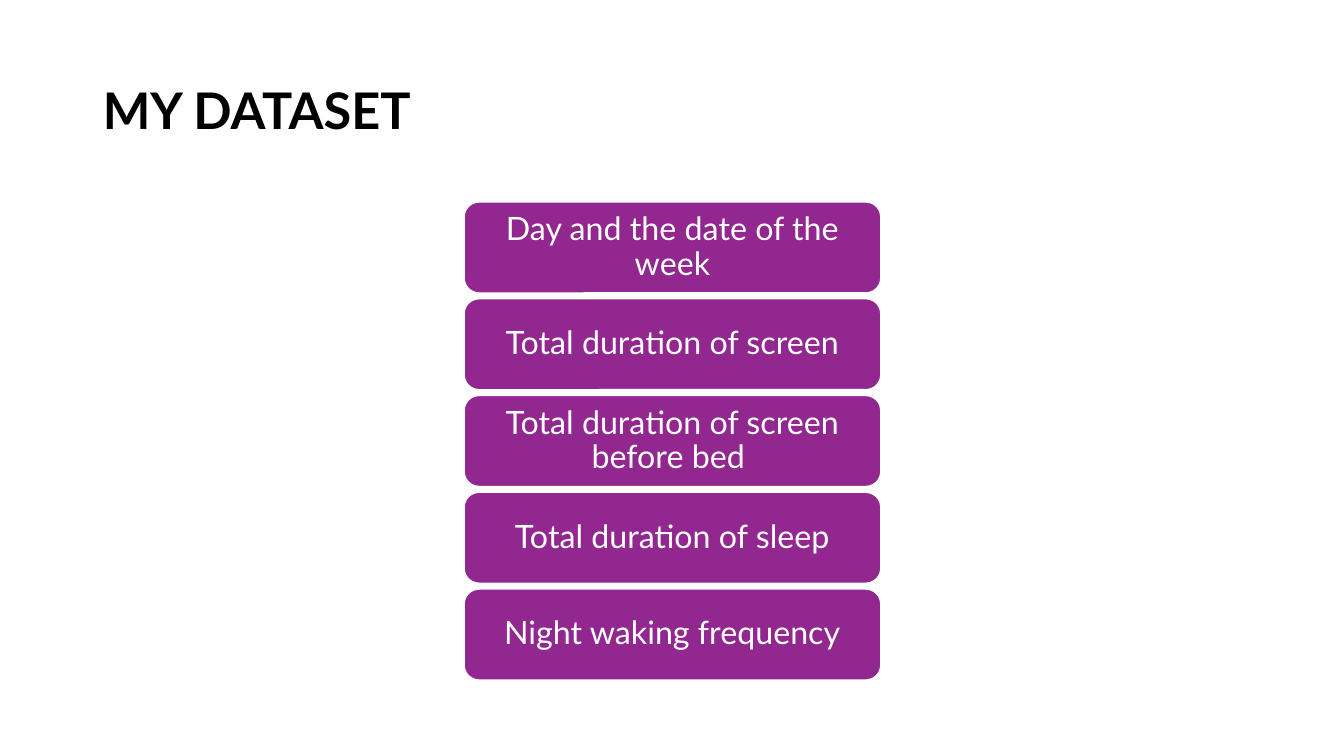
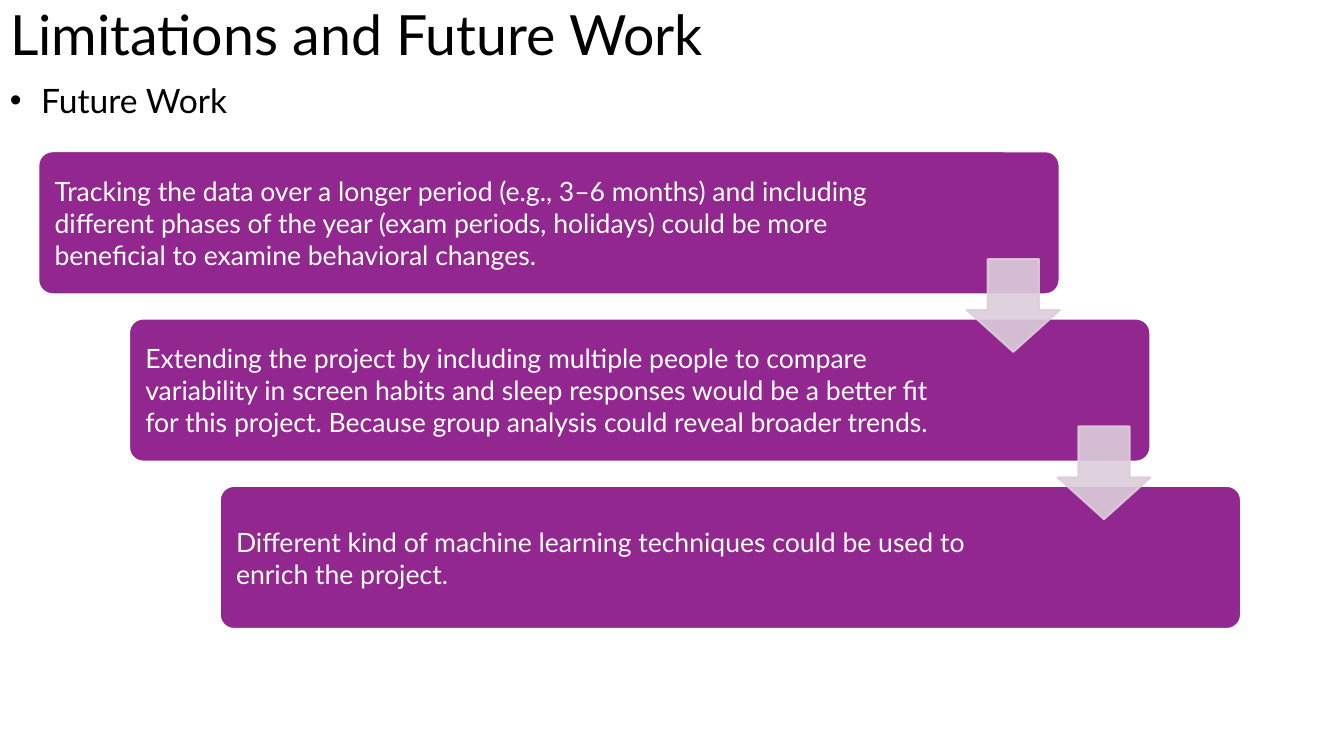
import pptx
import pptx.util
import pptx.dml.color
import pptx.enum.shapes
import pptx.enum.text
import pptx.oxml.ns
import lxml.etree

PX = 9144  # EMU per px, 100 px to the inch
PURPLE, PALE, WHITE, BLACK = "92278F", "DCCDDB", "FFFFFF", "000000"
ALIGN = pptx.enum.text.PP_ALIGN
MIDDLE = pptx.enum.text.MSO_ANCHOR.MIDDLE
TOP = pptx.enum.text.MSO_ANCHOR.TOP
SHAPE = pptx.enum.shapes.MSO_SHAPE


def write(shape, text, size, color, margins=(10, 5, 10, 5), bold=False,
          anchor=MIDDLE, **paragraph_format):
    """Put one formatted paragraph into a shape and return the paragraph."""
    frame = shape.text_frame
    frame.text = text
    frame_format = {"word_wrap": True, "vertical_anchor": anchor,
                    "auto_size": pptx.enum.text.MSO_AUTO_SIZE.NONE}
    for side, margin in zip(("left", "top", "right", "bottom"), margins):
        frame_format["margin_" + side] = margin * PX
    for name, value in frame_format.items():
        setattr(frame, name, value)
    paragraph = frame.paragraphs[0]
    for name, value in paragraph_format.items():
        setattr(paragraph, name, value)
    font = paragraph.runs[0].font
    for name, value in {"name": "Lato", "size": pptx.util.Pt(size), "bold": bold}.items():
        setattr(font, name, value)
    font.color.rgb = pptx.dml.color.RGBColor.from_string(color)
    return paragraph


def add_block(slide, kind, box, fill, line, adjustments=(), opacity=100):
    """Add a preset shape with flat fill and outline."""
    shape = slide.shapes.add_shape(kind, *[length * PX for length in box])
    shape.shadow.inherit = False
    for index, value in enumerate(adjustments):
        shape.adjustments[index] = value
    shape.fill.solid()
    shape.fill.fore_color.rgb = pptx.dml.color.RGBColor.from_string(fill)
    shape.line.color.rgb = pptx.dml.color.RGBColor.from_string(line)
    shape.line.width = pptx.util.Pt(1.5)
    if opacity < 100:
        for color in shape.element.spPr.iter(pptx.oxml.ns.qn("a:srgbClr")):
            alpha = lxml.etree.SubElement(color, pptx.oxml.ns.qn("a:alpha"))
            alpha.set("val", str(opacity * 1000))
    return shape


presentation = pptx.Presentation()
presentation.slide_width = 1333 * PX
presentation.slide_height = 750 * PX

# Slides with their titles
titles = [
    ("MY DATASET", (92, 40, 1150, 145), 36, True),
    ("Limitations and Future Work", (0, 0, 708, 74), 39.6, False),
]
slides = []
for text, box, size, bold in titles:
    slide = presentation.slides.add_slide(presentation.slide_layouts[5])
    title = slide.shapes.title
    for name, length in zip(("left", "top", "width", "height"), box):
        setattr(title, name, length * PX)
    write(title, text, size, BLACK, bold=bold, alignment=ALIGN.LEFT, line_spacing=0.9)
    slides.append(slide)
dataset_slide, future_slide = slides

# Dataset: a stack of cards
fields = [
    "Day and the date of the week",
    "Total duration of screen",
    "Total duration of screen before bed ",
    "Total duration of sleep",
    "Night waking frequency",
]
for index, field in enumerate(fields):
    card = add_block(dataset_slide, SHAPE.ROUNDED_RECTANGLE,
                     (460, 200 + 96 * index, 414, 91), PURPLE, WHITE)
    write(card, field, 23, WHITE, (14, 9, 14, 9),
          alignment=ALIGN.CENTER, line_spacing=0.9)

# Future work: bulleted heading
heading = future_slide.shapes.add_textbox(0, 74 * PX, 478 * PX, 50 * PX)
paragraph = write(heading, "Future Work", 24, BLACK, anchor=TOP, alignment=ALIGN.LEFT)
properties = paragraph._p.get_or_add_pPr()
properties.set("marL", str(31 * PX))
properties.set("indent", str(-31 * PX))
for tag, attribute, value in (("a:buFont", "typeface", "Arial"), ("a:buChar", "char", "•")):
    lxml.etree.SubElement(properties, pptx.oxml.ns.qn(tag)).set(attribute, value)

# Future work: descending steps, each text with its right margin
steps = [
    ("Tracking the data over a longer period (e.g., 3–6 months) and including different "
     "phases of the year (exam periods, holidays) could be more beneficial to examine "
     "behavioral changes.", 157),
    ("Extending the project by including multiple people to compare variability in screen "
     "habits and sleep responses would be a better fit for this project. Because group "
     "analysis could reveal broader trends.", 194),
    ("Different kind of machine learning techniques could be used to enrich the project.", 194),
]
corners = [(38 + 90 * index, 150 + 166 * index) for index in range(len(steps))]
for (left, top), (text, right_margin) in zip(corners, steps):
    card = add_block(future_slide, SHAPE.ROUNDED_RECTANGLE,
                     (left, top, 1013, 142), PURPLE, WHITE, (0.1,))
    write(card, text, 19, WHITE, (12, 12, right_margin, 12), alignment=ALIGN.LEFT)

# Arrows from each step to the next
for left, top in corners[:-1]:
    add_block(future_slide, SHAPE.DOWN_ARROW, (left + 921, top + 107, 92, 92),
              PALE, PALE, (0.55, 0.45), opacity=90)

presentation.save("out.pptx")
